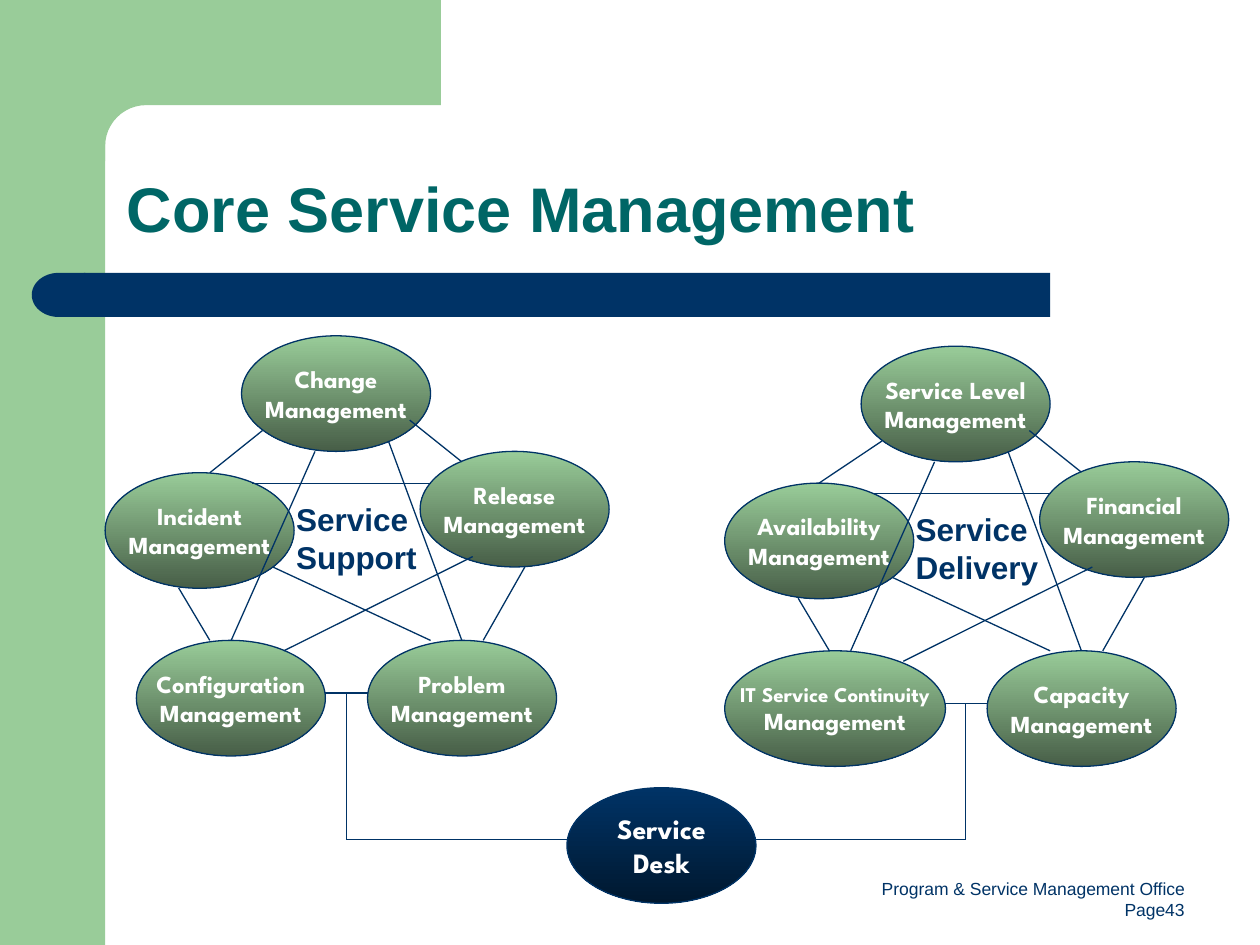
from math import cos, pi, sin

from lxml import etree
from pptx import Presentation
from pptx.dml.color import RGBColor
from pptx.enum.shapes import MSO_CONNECTOR, MSO_SHAPE
from pptx.enum.text import MSO_ANCHOR, PP_ALIGN
from pptx.oxml.ns import qn
from pptx.util import Cm, Pt

GREEN = RGBColor(0x99, 0xCC, 0x99)
MOSS = RGBColor(0x47, 0x5E, 0x47)
NAVY = RGBColor(0x00, 0x33, 0x66)
NIGHT = RGBColor(0x00, 0x18, 0x2F)
TEAL = RGBColor(0x00, 0x66, 0x66)
WHITE = RGBColor(0xFF, 0xFF, 0xFF)
LEFT, CENTER, RIGHT = PP_ALIGN.LEFT, PP_ALIGN.CENTER, PP_ALIGN.RIGHT
TOP, MIDDLE, BOTTOM = MSO_ANCHOR.TOP, MSO_ANCHOR.MIDDLE, MSO_ANCHOR.BOTTOM
RECT, OVAL, DELAY = MSO_SHAPE.RECTANGLE, MSO_SHAPE.OVAL, MSO_SHAPE.FLOWCHART_DELAY
LINE = MSO_CONNECTOR.STRAIGHT

deck = Presentation()
deck.slide_width, deck.slide_height = Cm(25.4), Cm(19.05)
slide = deck.slides.add_slide(deck.slide_layouts[6])
shapes = slide.shapes


def write(shape, text, size, color=NAVY, font="Arial", bold=True, align=LEFT,
          anchor=TOP, wrap=False, space=None, first=None):
    """Fill a shape with lines of text; first is the size of the first line."""
    frame = shape.text_frame
    frame.text = text
    frame.word_wrap = wrap
    frame.vertical_anchor = anchor
    for row, para in enumerate(frame.paragraphs):
        para.alignment = align
        if space:
            para.line_spacing = space
        para.font.name = font
        para.font.size = Pt(first if first and row == 0 else size)
        para.font.bold = bold
        para.font.color.rgb = color


def link(x1, y1, x2, y2):
    wire = shapes.add_connector(LINE, Cm(x1), Cm(y1), Cm(x2), Cm(y2))
    wire.line.color.rgb = NAVY
    wire.line.width = Pt(0.75)
    etree.SubElement(wire.element.spPr, qn("a:effectLst"))


# Green corner with a rounded inner edge
mid, rad = 2.95, 0.83
arc = [(mid - rad * sin(pi * k / 24), mid - rad * cos(pi * k / 24)) for k in range(13)]
edge = [(8.89, 2.12)] + arc + [(2.12, 3.25), (1.27, 3.25), (1.27, 0)]
pen = shapes.build_freeform(Cm(8.89), 0)
pen.add_line_segments([(Cm(x), Cm(y)) for x, y in edge])
corner = pen.convert_to_shape()

# Side band, title bar and its round end
side = shapes.add_shape(RECT, 0, 0, Cm(2.12), Cm(19.05))
bar = shapes.add_shape(RECT, Cm(1.69), Cm(5.5), Cm(19.48), Cm(0.89))
cap = shapes.add_shape(DELAY, Cm(0.64), Cm(5.5), Cm(1.08), Cm(0.89))
cap.rotation = 180
for part, color in ((corner, GREEN), (side, GREEN), (bar, NAVY), (cap, NAVY)):
    part.shadow.inherit = False
    part.fill.solid()
    part.fill.fore_color.rgb = color
    part.line.fill.background()

# Footer and title
foot = shapes.add_textbox(Cm(16.09), Cm(17.36), Cm(8.04), Cm(1.32))
write(foot, "Program & Service Management Office\nPage43", 10, bold=False,
      align=RIGHT, anchor=BOTTOM, wrap=True)
title = shapes.add_textbox(Cm(2.31), Cm(2.31), Cm(21.62), Cm(2.77))
write(title, "Core Service Management", 36, TEAL, anchor=BOTTOM, wrap=True, space=0.9)

# Two stars of processes: the right one is the left one moved by (dx, dy)
spots = [(4.87, 6.77), (8.47, 9.1), (2.12, 9.53), (2.75, 12.91), (7.41, 12.91)]
wires = [
    (3.6, 11.85, 4.23, 12.91),
    (5.72, 13.12, 9.53, 11.22),
    (6.56, 13.97, 7.41, 13.97),
    (5.5, 11.43, 8.68, 12.91),
    (9.31, 12.91, 7.83, 8.89),
    (5.08, 9.74, 8.68, 9.74),
    (6.35, 9.1, 4.66, 12.91),
    (8.26, 8.47, 9.31, 9.31),
    (9.74, 12.91, 10.58, 11.43),
]
stars = [
    ("Service\nDelivery", 12.49, 0.21, 4.02,
     ["Service Level", "Financial", "Availability", "IT Service Continuity", "Capacity"]),
    ("Service\nSupport", 0, 0, 4.23,
     ["Change", "Release", "Incident", "Configuration", "Problem"]),
]
nodes = [("Service\nDesk", 11.43, 15.88, 3.81, 16, None, NAVY, NIGHT)]
for label, dx, dy, end, names in stars:
    for name, (x, y) in zip(names, spots):
        long = len(name) > 15
        nodes.append((name + "\nManagement", x + dx - 0.63 * long, y + dy,
                      3.81 + 0.64 * long, 14, 12 if long else None, GREEN, MOSS))

for text, x, y, wide, size, first, light, dark in nodes:
    oval = shapes.add_shape(OVAL, Cm(x), Cm(y), Cm(wide), Cm(2.33))
    oval.shadow.inherit = False
    oval.fill.gradient()
    oval.fill.gradient_angle = 270
    for stop, color in zip(oval.fill.gradient_stops, (light, dark)):
        stop.color.rgb = color
    oval.line.color.rgb = NAVY
    oval.line.width = Pt(0.75)
    write(oval, text, size, WHITE, "League Spartan", align=CENTER, anchor=MIDDLE,
          first=first)

for label, dx, dy, end, names in stars:
    for x1, y1, x2, y2 in [(5.29, 8.68, end, 9.53)] + wires:
        link(x1 + dx, y1 + dy, x2 + dx, y2 + dy)
    box = shapes.add_textbox(Cm(5.72 + dx), Cm(9.95 + dy), Cm(3.1), Cm(1.78))
    write(box, label, 18)

# Lines from both stars to the service desk
for x, y, side_x in ((6.99, 13.97, 11.43), (19.47, 14.18, 15.24)):
    link(x, y, x, 16.93)
    link(side_x, 16.93, x, 16.93)

deck.save("out.pptx")
